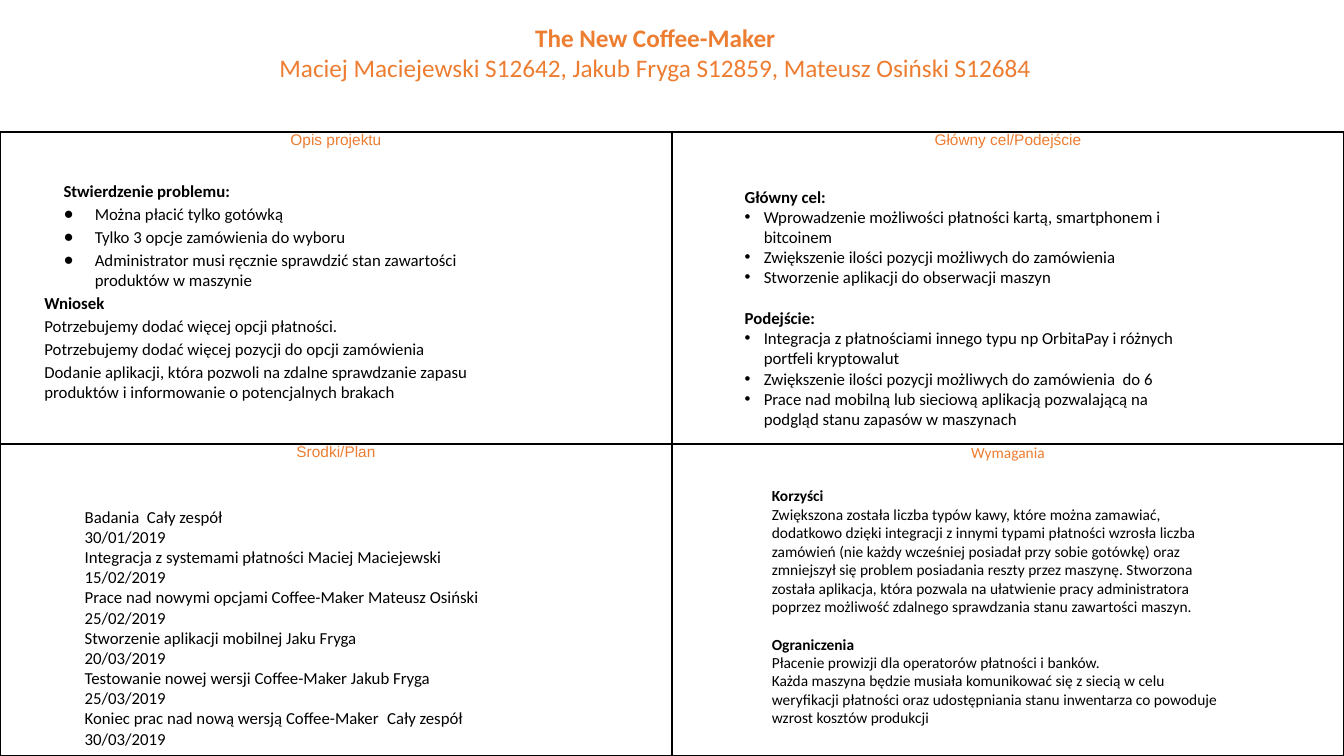
from pptx import Presentation, util as u
from pptx.dml.color import RGBColor
from pptx.enum import text
from pptx.oxml import parse_xml
from pptx.oxml.ns import nsdecls

COLS, ROWS = 160, 90
TOP, HALF, TALL = 15.72, 80, 37.14
ORANGE, BLACK = "ED7D31", "000000"

KINDS = {
    "head": {"bold": True},
    "inhead": {"bold": True, "left": 0.19},
    "next": {"bold": True, "gap": 1.22},
    "line": {},
    "disc": {"left": 0.5, "hang": -0.31, "mark": "●"},
    "dot": {"left": 0.19, "hang": -0.19, "mark": "•"},
}

TITLE = [
    ("head", "The New Coffee-Maker"),
    ("line", "Maciej Maciejewski S12642, Jakub Fryga S12859, Mateusz Osiński S12684"),
]

PANELS = [
    {"name": "Opis projektu", "font": "Arial", "box": (4.08, 4.56, 60.12, 15.24),
     "size": 12, "before": 2, "items": [
        ("inhead", "Stwierdzenie problemu:"),
        ("disc", "Można płacić tylko gotówką"),
        ("disc", "Tylko 3 opcje zamówienia do wyboru"),
        ("disc", "Administrator musi ręcznie sprawdzić stan zawartości produktów w maszynie"),
        ("head", "Wniosek"),
        ("line", "Potrzebujemy dodać więcej opcji płatności."),
        ("line", "Potrzebujemy dodać więcej pozycji do opcji zamówienia"),
        ("line", "Dodanie aplikacji, która pozwoli na zdalne sprawdzanie zapasu "
                 "produktów i informowanie o potencjalnych brakach")]},
    {"name": "Główny cel/Podejście", "font": "Arial", "box": (7.44, 5.28, 56.76, 24.12),
     "size": 12, "before": 0, "items": [
        ("head", "Główny cel:"),
        ("dot", "Wprowadzenie możliwości płatności kartą, smartphonem i bitcoinem"),
        ("dot", "Zwiększenie ilości pozycji możliwych do zamówienia"),
        ("dot", "Stworzenie aplikacji do obserwacji maszyn"),
        ("next", "Podejście:"),
        ("dot", "Integracja z płatnościami innego typu np OrbitaPay i różnych portfeli kryptowalut"),
        ("dot", "Zwiększenie ilości pozycji możliwych do zamówienia  do 6"),
        ("dot", "Prace nad mobilną lub sieciową aplikacją pozwalającą na "
                "podgląd stanu zapasów w maszynach")]},
    {"name": "Środki/Plan", "font": "Arial", "box": (8.88, 6.24, 56.76, 23.52),
     "size": 12, "before": 0, "items": [("line", t) for t in (
        "Badania  Cały zespół", "30/01/2019",
        "Integracja z systemami płatności Maciej Maciejewski", "15/02/2019",
        "Prace nad nowymi opcjami Coffee-Maker Mateusz Osiński", "25/02/2019",
        "Stworzenie aplikacji mobilnej Jaku Fryga", "20/03/2019",
        "Testowanie nowej wersji Coffee-Maker Jakub Fryga", "25/03/2019",
        "Koniec prac nad nową wersją Coffee-Maker\tCały zespół", "30/03/2019")]},
    {"name": "Wymagania", "font": "Calibri", "box": (10.68, 3.84, 56.76, 24.36),
     "size": 11, "before": 0, "items": [
        ("head", "Korzyści"),
        ("line", "Zwiększona została liczba typów kawy, które można zamawiać, dodatkowo "
                 "dzięki integracji z innymi typami płatności wzrosła liczba zamówień (nie "
                 "każdy wcześniej posiadał przy sobie gotówkę) oraz zmniejszył się problem "
                 "posiadania reszty przez maszynę. Stworzona została aplikacja, która pozwala "
                 "na ułatwienie pracy administratora poprzez możliwość zdalnego sprawdzania "
                 "stanu zawartości maszyn."),
        ("next", "Ograniczenia"),
        ("line", "Płacenie prowizji dla operatorów płatności i banków."),
        ("line", "Każda maszyna będzie musiała komunikować się z siecią w celu weryfikacji "
                 "płatności oraz udostępniania stanu inwentarza co powoduje wzrost kosztów "
                 "produkcji")]},
]

deck = Presentation()
deck.slide_width, deck.slide_height = u.Inches(13.33), u.Inches(7.5)


def hue(code):
    """Turn a hex string into a colour."""
    return RGBColor.from_string(code)


def wide(n):
    """Give the length of n grid columns."""
    return int(deck.slide_width * n / COLS)


def high(n):
    """Give the length of n grid rows."""
    return int(deck.slide_height * n / ROWS)


def put(obj, vals):
    """Set each attribute named in a dict."""
    for key, val in vals.items():
        setattr(obj, key, val)


def place(shape, box, pad):
    """Move a placeholder to a grid box and set up its frame."""
    x, y, w, h = box
    put(shape, {"left": wide(x), "top": high(y), "width": wide(w), "height": high(h)})
    put(shape.text_frame, {
        "word_wrap": True, "auto_size": text.MSO_AUTO_SIZE.NONE,
        "vertical_anchor": text.MSO_ANCHOR.TOP,
        "margin_left": u.Inches(0.1), "margin_right": u.Inches(0.1),
        "margin_top": u.Inches(pad), "margin_bottom": u.Inches(pad)})


def bullet(para, kind):
    """Set the indent and the bullet mark of a paragraph."""
    props = para._p.get_or_add_pPr()
    props.set("marL", str(u.Inches(kind.get("left", 0))))
    props.set("indent", str(u.Inches(kind.get("hang", 0))))
    if "mark" in kind:
        props.append(parse_xml(f'<a:buFont {nsdecls("a")} typeface="Arial"/>'))
        props.append(parse_xml(f'<a:buChar {nsdecls("a")} char="{kind["mark"]}"/>'))
    else:
        props.append(parse_xml(f'<a:buNone {nsdecls("a")}/>'))


def write(frame, items, size, color, font="Calibri", before=0, align=text.PP_ALIGN.LEFT):
    """Fill a frame with paragraphs of the given kinds."""
    for i, (name, words) in enumerate(items):
        kind = KINDS[name]
        para = frame.add_paragraph() if i else frame.paragraphs[0]
        put(para, {"alignment": align, "line_spacing": 1.0, "space_after": u.Pt(0),
                   "space_before": u.Pt(before + size * kind.get("gap", 0))})
        bullet(para, kind)
        run = para.add_run()
        put(run, {"text": words})
        put(run.font, {"name": font, "size": u.Pt(size), "bold": kind.get("bold", False)})
        run.font.color.rgb = hue(color)


def edge(cell, row, col):
    """Draw thick outer and thin inner borders on a cell."""
    outer = {"L": col == 0, "R": col == 1, "T": row == 0, "B": row == 1}
    props = cell._tc.get_or_add_tcPr()
    for i, (side, thick) in enumerate(outer.items()):
        width = u.Pt(2.25 if thick else 1)
        props.insert(i, parse_xml(
            f'<a:ln{side} {nsdecls("a")} w="{width}"><a:solidFill>'
            f'<a:srgbClr val="{BLACK}"/></a:solidFill></a:ln{side}>'))


def grid(slide, box):
    """Lay the two by two table with its headings behind the text."""
    x, y, w, h = box
    frame = slide.shapes.add_table(2, 2, wide(x), high(y), wide(w), high(h))
    slide.shapes._spTree.insert(2, frame._element)
    put(frame.table, {"first_row": False, "horz_banding": False})
    for i, panel in enumerate(PANELS):
        row, col = divmod(i, 2)
        cell = frame.table.cell(row, col)
        put(cell, {f"margin_{s}": 0 for s in ("left", "right", "top", "bottom")})
        cell.fill.background()
        edge(cell, row, col)
        write(cell.text_frame, [("line", panel["name"])], 11, ORANGE,
              panel["font"], align=text.PP_ALIGN.CENTER)


def header(shape, box):
    """Write the title and the names of the team."""
    place(shape, box, 0.05)
    write(shape.text_frame, TITLE, 18, ORANGE, align=text.PP_ALIGN.CENTER)


def body(shape, panel, x, y):
    """Write the text of one panel from its corner."""
    dx, dy, w, h = panel["box"]
    place(shape, (x + dx, y + dy, w, h), 0.1)
    write(shape.text_frame, panel["items"], panel["size"], BLACK, before=panel["before"])


def main():
    """Build the slide and save it."""
    slide = deck.slides.add_slide(deck.slide_layouts[4])
    head, *parts = slide.placeholders
    header(head, (28, 2, 100, 5.28))
    for i, (part, panel) in enumerate(zip(parts, PANELS)):
        row, col = divmod(i, 2)
        body(part, panel, col * HALF, TOP + row * TALL)
    grid(slide, (0, TOP, 2 * HALF, 2 * TALL))
    deck.save("out.pptx")


main()
